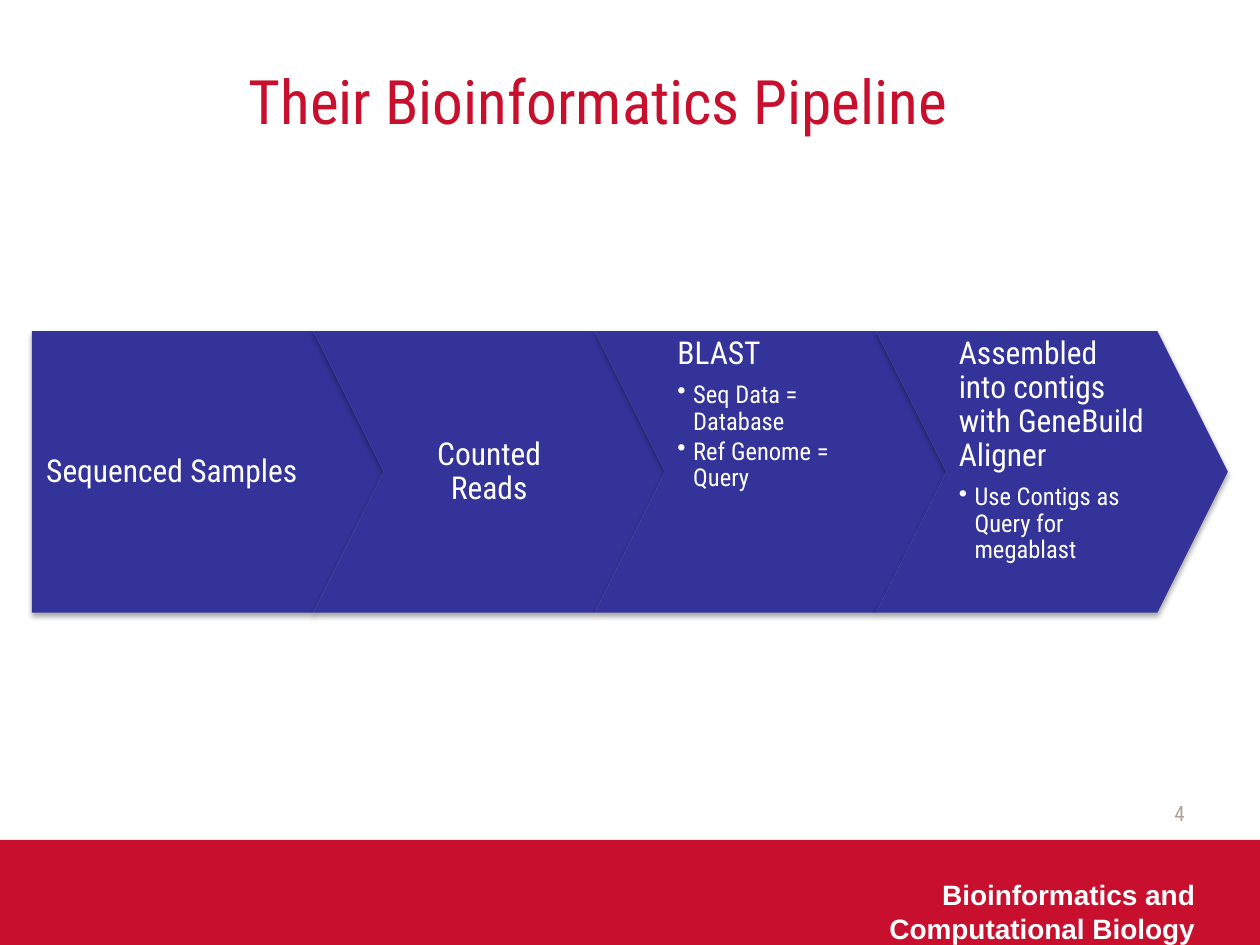
from lxml import etree
from pptx import Presentation
from pptx.dml.color import RGBColor
from pptx.enum.shapes import MSO_SHAPE
from pptx.enum.text import MSO_ANCHOR, PP_ALIGN
from pptx.oxml import parse_xml
from pptx.oxml.ns import nsdecls, qn
from pptx.util import Pt

RECT, PLATE, CHEVRON = MSO_SHAPE.RECTANGLE, MSO_SHAPE.PENTAGON, MSO_SHAPE.CHEVRON
TOP, MIDDLE = MSO_ANCHOR.TOP, MSO_ANCHOR.MIDDLE
LEFT, CENTER, RIGHT = PP_ALIGN.LEFT, PP_ALIGN.CENTER, PP_ALIGN.RIGHT

RED, BLUE, WHITE, GRAY = "C8102E", "333399", "FFFFFF", "ACA39A"
FONT = "Roboto Condensed"
STEP_X, STEP_Y, STEP_W, STEP_H = 18.2, 189.2, 201, 160.8
NOTCH = 0.25

# Heading, bullets
STEPS = [
    ("Sequenced Samples", []),
    ("Counted Reads", []),
    ("BLAST", ["Seq Data = Database", "Ref Genome = Query"]),
    ("Assembled into contigs with GeneBuild Aligner",
     ["Use Contigs as Query for megablast"]),
]


def color(code):
    """Turn a hex string into a colour."""
    return RGBColor.from_string(code)


def style(para, size, code, align, font=FONT, bold=False):
    """Format a paragraph and its runs."""
    para.alignment = align
    for run in para.runs:
        run.font.size = Pt(size)
        run.font.name = font
        run.font.bold = bold
        run.font.color.rgb = color(code)


def add_text(slide, box, text, size, code, align, anchor=MIDDLE, **kind):
    """Add a wrapped text box with one paragraph."""
    frame = slide.shapes.add_textbox(*map(Pt, box)).text_frame
    frame.word_wrap = True
    frame.vertical_anchor = anchor
    frame.text = text
    style(frame.paragraphs[0], size, code, align, **kind)


def add_block(slide, form, box, code):
    """Add a filled shape without outline or shadow."""
    block = slide.shapes.add_shape(form, *map(Pt, box))
    block.shadow.inherit = False
    block.fill.solid()
    block.fill.fore_color.rgb = color(code)
    block.line.fill.background()
    return block


def add_shade(shape):
    """Give a shape a soft shadow below it."""
    effects = shape._element.spPr.find(qn("a:effectLst"))
    effects.append(parse_xml(
        f'<a:outerShdw {nsdecls("a")} blurRad="{Pt(3.1)}" dist="{Pt(1.8)}" '
        'dir="5400000" rotWithShape="0"><a:srgbClr val="000000">'
        '<a:alpha val="35000"/></a:srgbClr></a:outerShdw>'))


def add_bullet(para):
    """Give a paragraph a hanging bullet."""
    props = para._p.get_or_add_pPr()
    props.set("marL", str(Pt(9)))
    props.set("indent", str(-Pt(9)))
    etree.SubElement(props, qn("a:buChar")).set("char", "•")


def add_step(slide, index, head, items):
    """Add one arrow of the pipeline with its text."""
    form = CHEVRON if index else PLATE
    box = (STEP_X + index * STEP_H, STEP_Y, STEP_W, STEP_H)
    arrow = add_block(slide, form, box, BLUE)
    arrow.adjustments[0] = NOTCH
    add_shade(arrow)

    frame = arrow.text_frame
    frame.word_wrap = True
    frame.vertical_anchor = TOP if items else MIDDLE
    frame.margin_left = Pt(7.2)
    frame.margin_right = Pt(7.2 if index else 28)
    frame.margin_top = frame.margin_bottom = Pt(3.6)
    frame.text = head
    align = LEFT if items else CENTER
    style(frame.paragraphs[0], 18, WHITE, align)
    frame.paragraphs[0].space_after = Pt(6.3)
    for item in items:
        para = frame.add_paragraph()
        para.text = item
        para.level = 1
        style(para, 14, WHITE, align)
        para.space_after = Pt(2.1)
        add_bullet(para)
    for para in frame.paragraphs:
        para.line_spacing = 0.9


def main():
    """Build the slide and save it."""
    deck = Presentation()
    deck.slide_width, deck.slide_height = Pt(720), Pt(540)
    slide = deck.slides.add_slide(deck.slide_layouts[6])

    add_block(slide, RECT, (0, 480, 720, 60), RED)
    add_text(slide, (36, 12, 612, 90), "Their Bioinformatics Pipeline",
             35, RED, CENTER)
    for index, (head, items) in enumerate(STEPS):
        add_step(slide, index, head, items)
    add_text(slide, (516, 450, 168, 28.8), "4", 12, GRAY, RIGHT)
    add_text(slide, (498, 498, 192, 30),
             "Bioinformatics and Computational Biology",
             16, WHITE, RIGHT, TOP, font="Arial", bold=True)

    deck.save("out.pptx")


main()
